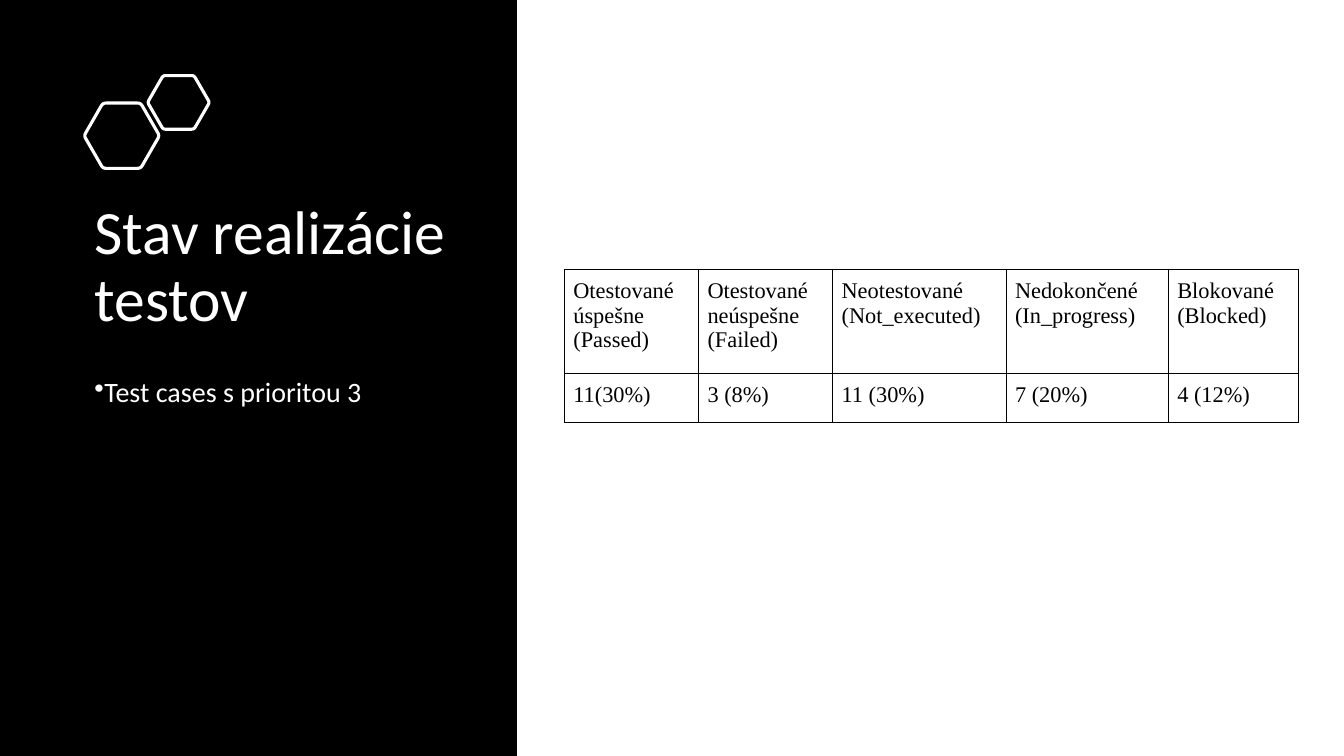
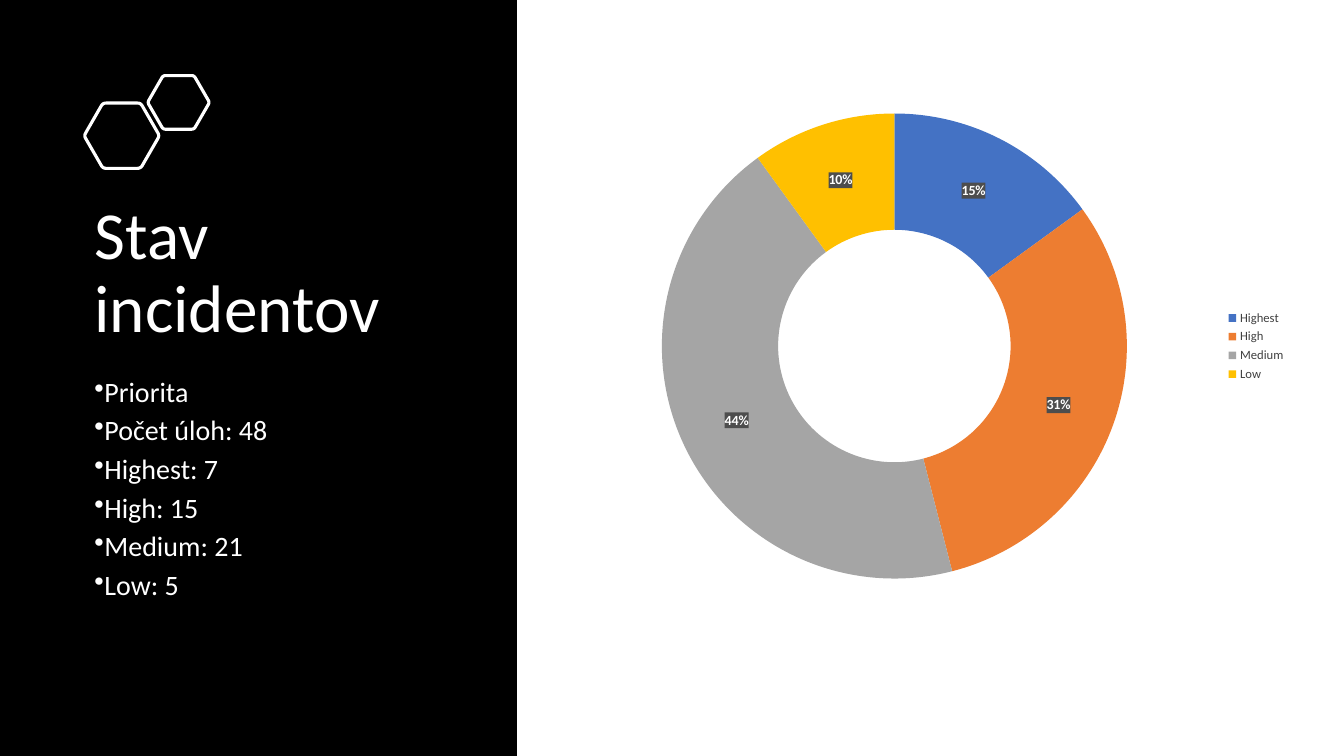
import math

from lxml import etree
from pptx import Presentation
from pptx import util as u
from pptx.chart import data as chart_data
from pptx.dml.color import RGBColor
from pptx.enum import chart as charts, shapes, text
from pptx.oxml import parse_xml
from pptx.oxml.ns import nsdecls, qn

BLACK = RGBColor(0x00, 0x00, 0x00)
WHITE = RGBColor(0xFF, 0xFF, 0xFF)
DARK_GREY = RGBColor(0x40, 0x40, 0x40)
LABEL_GREY = RGBColor(0x4D, 0x4D, 0x4D)
BLUE = RGBColor(0x44, 0x72, 0xC4)
ORANGE = RGBColor(0xED, 0x7D, 0x31)
GREY = RGBColor(0xA5, 0xA5, 0xA5)
YELLOW = RGBColor(0xFF, 0xC0, 0x00)

SANS = "Calibri"
SERIF = "Times New Roman"
SLIDE_WIDTH, SLIDE_HEIGHT = u.Cm(33.87), u.Cm(19.05)
PANEL_WIDTH = u.Cm(13.03)
TEXT_LEFT, TEXT_WIDTH = u.Cm(2.13), u.Cm(9.96)
CONTENT_LEFT, CONTENT_WIDTH = u.Cm(14.22), u.Cm(18.44)


def hexagon_points(center_x, center_y, radius, cut=0.08, steps=4):
    """Outline of a regular hexagon whose corners are rounded."""
    corners = [(center_x + radius * math.cos(math.radians(angle)),
                center_y + radius * math.sin(math.radians(angle)))
               for angle in range(0, 360, 60)]
    points = []
    for index, corner in enumerate(corners):
        before, after = corners[index - 1], corners[(index + 1) % 6]
        for step in range(steps + 1):
            t = step / steps
            points.append(tuple(
                u.Cm(c + cut * ((1 - t) ** 2 * (b - c) + t ** 2 * (a - c)))
                for b, c, a in zip(before, corner, after)))
    return points


class Deck:
    """Holds the shared style and the slide being built."""

    def __init__(self):
        self.presentation = Presentation()
        self.presentation.slide_width = SLIDE_WIDTH
        self.presentation.slide_height = SLIDE_HEIGHT
        self.slide = None

    def add_slide(self, title, title_size, bullets):
        layout = self.presentation.slide_layouts[5]
        self.slide = self.presentation.slides.add_slide(layout)
        self.panel()
        self.title(title, title_size)
        self.hexagons()
        self.bullets(bullets)

    def run(self, paragraph, content, size, font=SANS, color=WHITE):
        run = paragraph.add_run()
        run.text = content
        run.font.name = font
        run.font.size = u.Pt(size)
        run.font.color.rgb = color

    def panel(self):
        panel = self.slide.shapes.add_shape(
            shapes.MSO_SHAPE.RECTANGLE, 0, 0, PANEL_WIDTH, SLIDE_HEIGHT)
        panel.shadow.inherit = False
        panel.fill.solid()
        panel.fill.fore_color.rgb = BLACK
        panel.line.fill.background()
        # Send behind the title placeholder
        panel.element.getparent().insert(2, panel.element)

    def title(self, content, size):
        title = self.slide.shapes.title
        title.left, title.top = TEXT_LEFT, u.Cm(4.95)
        title.width, title.height = TEXT_WIDTH, u.Cm(4.06)
        frame = title.text_frame
        frame.word_wrap = True
        frame.auto_size = text.MSO_AUTO_SIZE.NONE
        frame.vertical_anchor = text.MSO_ANCHOR.TOP
        paragraph = frame.paragraphs[0]
        paragraph.alignment = text.PP_ALIGN.LEFT
        paragraph.line_spacing = 0.9
        self.run(paragraph, content, size)

    def hexagons(self):
        group = self.slide.shapes.add_group_shape()
        for center_x, center_y, radius in ((3.07, 3.42, 0.95), (4.5, 2.58, 0.78)):
            points = hexagon_points(center_x, center_y, radius)
            builder = group.shapes.build_freeform(*points[0])
            builder.add_line_segments(points[1:], close=True)
            hexagon = builder.convert_to_shape()
            hexagon.shadow.inherit = False
            hexagon.fill.background()
            hexagon.line.color.rgb = WHITE
            hexagon.line.width = u.Pt(2.25)

    def bullets(self, items):
        box = self.slide.shapes.add_textbox(
            TEXT_LEFT, u.Cm(9.4), TEXT_WIDTH, u.Cm(7.75))
        frame = box.text_frame
        frame.word_wrap = True
        for index, item in enumerate(items):
            paragraph = frame.add_paragraph() if index else frame.paragraphs[0]
            paragraph.line_spacing = 0.9
            paragraph.space_after = u.Pt(6)
            properties = paragraph._p.get_or_add_pPr()
            properties.set("marL", "0")
            properties.set("indent", str(-u.Cm(0.64)))
            etree.SubElement(properties, qn("a:buChar")).set("char", "•")
            self.run(paragraph, item, 20)

    def table(self, rows, column_widths, row_heights):
        frame = self.slide.shapes.add_table(
            len(rows), len(column_widths), CONTENT_LEFT, u.Cm(6.78),
            CONTENT_WIDTH, u.Cm(sum(row_heights)))
        table = frame.table
        table.first_row = table.horz_banding = False
        for column, width in zip(table.columns, column_widths):
            column.width = u.Cm(width)
        for row, height, contents in zip(table.rows, row_heights, rows):
            row.height = u.Cm(height)
            for cell, content in zip(row.cells, contents):
                self.cell(cell, content)

    def cell(self, cell, content):
        cell.margin_left = cell.margin_right = u.Cm(0.23)
        cell.margin_top = cell.margin_bottom = u.Cm(0.23)
        frame = cell.text_frame
        for index, line in enumerate(content.split("\n")):
            paragraph = frame.add_paragraph() if index else frame.paragraphs[0]
            self.run(paragraph, line, 16, SERIF, BLACK)
        # Borders come before the fill in the cell properties
        properties = cell._tc.get_or_add_tcPr()
        for side in ("lnL", "lnR", "lnT", "lnB"):
            properties.append(parse_xml(
                f'<a:{side} {nsdecls("a")} w="{u.Pt(0.5)}"><a:solidFill>'
                f'<a:srgbClr val="{BLACK}"/></a:solidFill></a:{side}>'))
        cell.fill.background()

    def doughnut(self, slices):
        data = chart_data.CategoryChartData()
        data.categories = [name for name, _, _ in slices]
        data.add_series("Series 1", [value for _, value, _ in slices])
        chart = self.slide.shapes.add_chart(
            charts.XL_CHART_TYPE.DOUGHNUT, CONTENT_LEFT, u.Cm(2.51),
            CONTENT_WIDTH, u.Cm(12.42), data).chart
        chart.has_title = False
        chart.font.name = SANS
        chart.font.size = u.Pt(10)
        chart.font.color.rgb = BLACK

        # Legend
        chart.has_legend = True
        legend = chart.legend
        legend.position = charts.XL_LEGEND_POSITION.RIGHT
        legend.include_in_layout = False
        legend.font.name = SANS
        legend.font.size = u.Pt(9)
        legend.font.color.rgb = DARK_GREY

        # Slices
        plot = chart.plots[0]
        plot.vary_by_categories = True
        for index, (_, _, color) in enumerate(slices):
            point_format = plot.series[0].points[index].format
            point_format.fill.solid()
            point_format.fill.fore_color.rgb = color
            point_format.line.fill.background()

        # Percentage labels on dark boxes
        labels = plot.series[0].data_labels
        labels.show_percentage = True
        labels.show_value = False
        labels.number_format = "0%"
        labels.number_format_is_linked = False
        labels.font.name = SANS
        labels.font.size = u.Pt(10)
        labels.font.bold = True
        labels.font.color.rgb = WHITE
        labels._element.find(qn("c:txPr")).addprevious(parse_xml(
            f'<c:spPr {nsdecls("c", "a")}><a:solidFill>'
            f'<a:srgbClr val="{LABEL_GREY}"/></a:solidFill></c:spPr>'))


def main():
    deck = Deck()

    # Test status
    deck.add_slide("Stav realizácie testov", 44, ["Test cases s prioritou 3"])
    deck.table(
        [["Otestované úspešne (Passed)", "Otestované neúspešne (Failed)",
          "Neotestované\n(Not_executed)", "Nedokončené\n(In_progress)",
          "Blokované\n(Blocked)"],
         ["11(30%)", "3 (8%)", "11 (30%)", "7 (20%)", "4 (12%)"]],
        column_widths=(3.38, 3.38, 4.37, 4.09, 3.28), row_heights=(2.62, 1.24))

    # Incident status
    deck.add_slide("Stav incidentov", 48, [
        "Priorita", "Počet úloh: 48", "Highest: 7", "High: 15",
        "Medium: 21", "Low: 5"])
    deck.doughnut([("Highest", 15, BLUE), ("High", 31, ORANGE),
                   ("Medium", 44, GREY), ("Low", 10, YELLOW)])

    deck.presentation.save("out.pptx")


if __name__ == "__main__":
    main()
